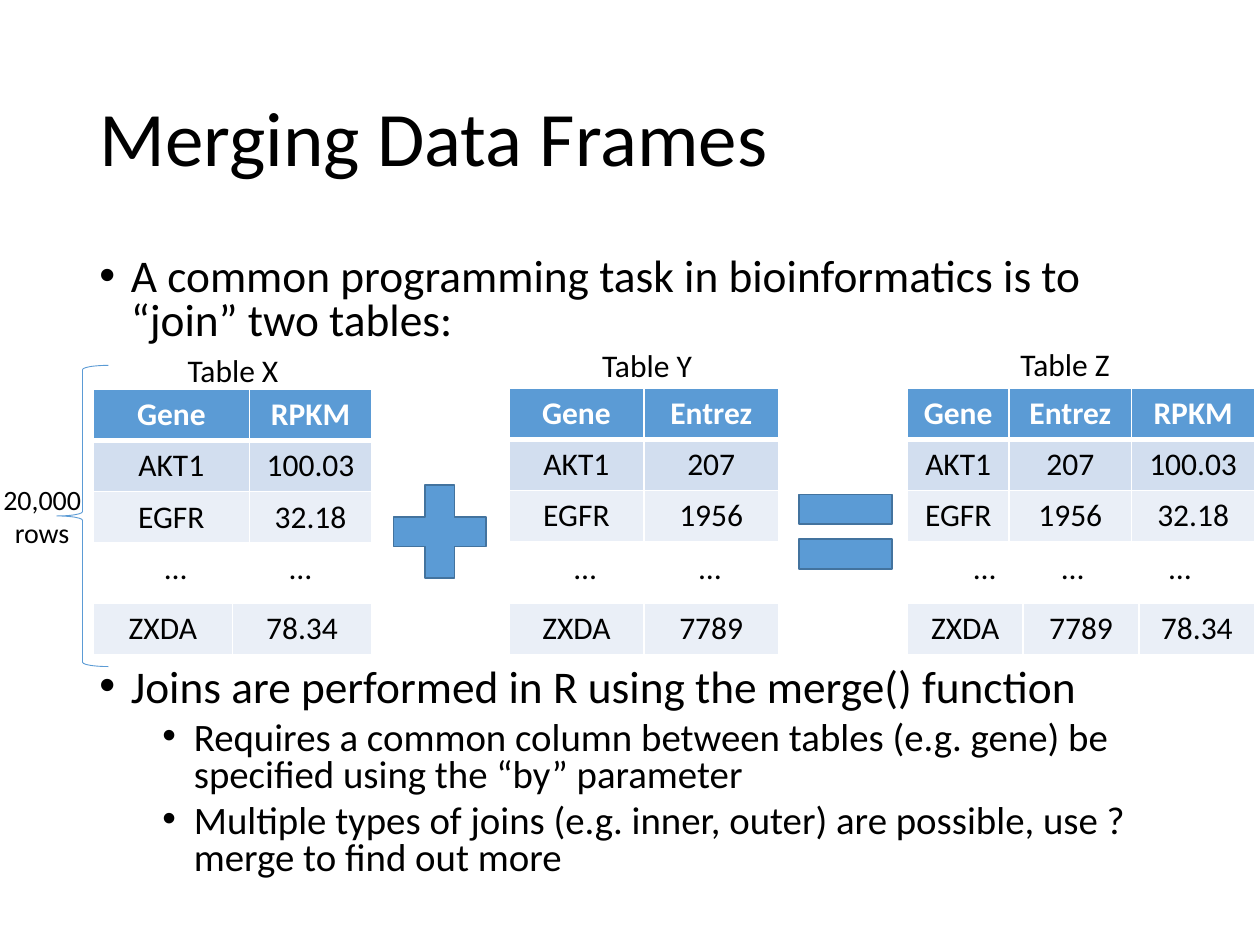
from dataclasses import dataclass

from lxml.etree import SubElement
from pptx import Presentation
from pptx.dml.color import RGBColor
from pptx.enum.shapes import MSO_SHAPE as Shape
from pptx.enum.text import MSO_ANCHOR as Anchor, PP_ALIGN as Align
from pptx.oxml import parse_xml
from pptx.oxml.ns import nsdecls, qn
from pptx.util import Inches, Pt

BLACK = RGBColor(0x00, 0x00, 0x00)
WHITE = RGBColor(0xFF, 0xFF, 0xFF)
BLUE = RGBColor(0x5B, 0x9B, 0xD5)
DARK_BLUE = RGBColor(0x43, 0x73, 0x9E)
BAND_DARK = RGBColor(0xD2, 0xDE, 0xEF)
BAND_LIGHT = RGBColor(0xEA, 0xEF, 0xF7)

FONT = "Calibri"
UNIT = Inches(0.1)  # the slide is a grid of 100 columns by 75 rows
COLS, ROWS = 100, 75
TABLE_ROW = 12.2 / 3
LAST_ROW_TOP = 47.9


@dataclass(frozen=True)
class Box:
    left: float
    top: float
    width: float
    height: float

    def emu(self) -> tuple:
        return tuple(grid(v) for v in (self.left, self.top, self.width, self.height))


@dataclass(frozen=True)
class Frame:
    """A captioned data frame: its first rows, its ellipses and its last row."""
    caption: str
    caption_at: tuple[float, float]
    left: float
    top: float
    widths: list[float]
    rows: list[list[str]]
    last: list[str]
    dots: list[float]


@dataclass(frozen=True)
class Bullet:
    text: str
    level: int = 0


FRAMES = [
    Frame("Table X", (13.9, 27.4), 7.4, 30.9, [12.4, 9.7],
          [["Gene", "RPKM"], ["AKT1", "100.03"], ["EGFR", "32.18"]],
          ["ZXDA", "78.34"], [12.1, 22]),
    Frame("Table Y", (46.8, 27), 40.4, 30.8, [10.7, 10.7],
          [["Gene", "Entrez"], ["AKT1", "207"], ["EGFR", "1956"]],
          ["ZXDA", "7789"], [44.6, 54.5]),
    Frame("Table Z", (80, 26.9), 72, 30.8, [8.1, 9.7, 9.8],
          [["Gene", "Entrez", "RPKM"], ["AKT1", "207", "100.03"],
           ["EGFR", "1956", "32.18"]],
          ["ZXDA", "7789", "78.34"], [76.3, 83.3, 91.8]),
]
INTRO = [Bullet("A common programming task in bioinformatics is to “join” two tables:")]
DETAILS = [
    Bullet("Joins are performed in R using the merge() function"),
    Bullet("Requires a common column between tables (e.g. gene) be specified "
           "using the “by” parameter", 1),
    Bullet("Multiple types of joins (e.g. inner, outer) are possible, "
           "use ?merge to find out more", 1),
]


def grid(units: float) -> int:
    return round(units * UNIT)


def add_run(p, text: str, size: float, color: RGBColor = BLACK, bold: bool = False) -> None:
    r = p.add_run()
    r.text = text
    r.font.name, r.font.size, r.font.bold = FONT, Pt(size), bold
    r.font.color.rgb = color


def add_text(slide, box: Box, lines: list[str], size: float, wrap: bool = False,
             align: Align = Align.LEFT, anchor: Anchor = Anchor.TOP,
             spacing: float = 1.0) -> None:
    tf = slide.shapes.add_textbox(*box.emu()).text_frame
    tf.word_wrap, tf.vertical_anchor = wrap, anchor
    for i, line in enumerate(lines):
        p = tf.add_paragraph() if i else tf.paragraphs[0]
        p.alignment, p.line_spacing = align, spacing
        add_run(p, line, size)


def add_bullets(slide, box: Box, bullets: list[Bullet]) -> None:
    tf = slide.shapes.add_textbox(*box.emu()).text_frame
    tf.word_wrap = True
    for i, bullet in enumerate(bullets):
        p = tf.add_paragraph() if i else tf.paragraphs[0]
        p.level, p.line_spacing = bullet.level, 0.8
        p.space_before = Pt(5 if bullet.level else 10)
        pPr = p._p.get_or_add_pPr()
        pPr.set("marL", str(grid(2.5 + 5 * bullet.level)))
        pPr.set("indent", str(grid(-2.5)))
        SubElement(pPr, qn("a:buFont"), typeface="Arial")
        SubElement(pPr, qn("a:buChar"), char="•")
        add_run(p, bullet.text, 22.2 if bullet.level else 25.9)


def set_borders(cell, top: float, bottom: float) -> None:
    """Draw white cell borders; the side borders are one point wide."""
    tcPr = cell._tc.get_or_add_tcPr()
    for i, (side, width) in enumerate(zip("LRTB", (1, 1, top, bottom))):
        tcPr.insert(i, parse_xml(
            f'<a:ln{side} {nsdecls("a")} w="{Pt(width)}"><a:solidFill>'
            f'<a:srgbClr val="{WHITE}"/></a:solidFill></a:ln{side}>'))


def add_table(slide, left: float, top: float, widths: list[float],
              rows: list[list[str]], header: bool) -> None:
    box = Box(left, top, sum(widths), TABLE_ROW * len(rows))
    table = slide.shapes.add_table(len(rows), len(widths), *box.emu()).table
    for column, width in zip(table.columns, widths):
        column.width = grid(width)
    fills = [BLUE, BAND_DARK, BAND_LIGHT] if header else [BAND_LIGHT]
    for i, row in enumerate(rows):
        is_head = header and i == 0
        for j, text in enumerate(row):
            cell = table.cell(i, j)
            cell.fill.solid()
            cell.fill.fore_color.rgb = fills[i]
            set_borders(cell, top=3 if header and i == 1 else 1,
                        bottom=3 if is_head else 1)
            p = cell.text_frame.paragraphs[0]
            p.alignment = Align.CENTER
            add_run(p, text, 18, WHITE if is_head else BLACK, is_head)


def add_frame(slide, frame: Frame) -> None:
    count = len(frame.widths)
    add_table(slide, frame.left, frame.top, frame.widths, frame.rows, header=True)
    add_table(slide, frame.left, LAST_ROW_TOP, [sum(frame.widths) / count] * count,
              [frame.last], header=False)
    for x in frame.dots:
        add_text(slide, Box(x, 43, 3.8, 4), ["…"], 18)
    add_text(slide, Box(*frame.caption_at, 9.2, 4), [frame.caption], 18)


def add_symbol(slide, kind: Shape, box: Box, line: RGBColor, weight: float,
               filled: bool = True) -> None:
    sp = slide.shapes.add_shape(kind, *box.emu())
    sp.shadow.inherit = False
    if filled:
        sp.fill.solid()
        sp.fill.fore_color.rgb = BLUE
    else:
        sp.fill.background()
    sp.line.color.rgb, sp.line.width = line, Pt(weight)


def main() -> None:
    prs = Presentation()
    prs.slide_width, prs.slide_height = grid(COLS), grid(ROWS)
    slide = prs.slides.add_slide(prs.slide_layouts[6])

    add_text(slide, Box(6.9, 4, 86.2, 14.5), ["Merging Data Frames"], 44,
             wrap=True, anchor=Anchor.MIDDLE, spacing=0.9)
    add_bullets(slide, Box(6.9, 20, 86.2, 8), INTRO)
    add_bullets(slide, Box(6.9, 52.6, 86.2, 20), DETAILS)

    for frame in FRAMES:
        add_frame(slide, frame)
    add_symbol(slide, Shape.MATH_PLUS, Box(29.9, 37.2, 10, 10), DARK_BLUE, 1)
    add_symbol(slide, Shape.MATH_EQUAL, Box(62.1, 37.2, 10, 10), DARK_BLUE, 1)
    add_symbol(slide, Shape.LEFT_BRACE, Box(4.5, 29, 4.1, 23.9), BLUE, 0.5, filled=False)
    add_text(slide, Box(-0.8, 37.8, 8.3, 6.4), ["20,000", "rows"], 16, align=Align.CENTER)

    prs.save("out.pptx")


if __name__ == "__main__":
    main()
